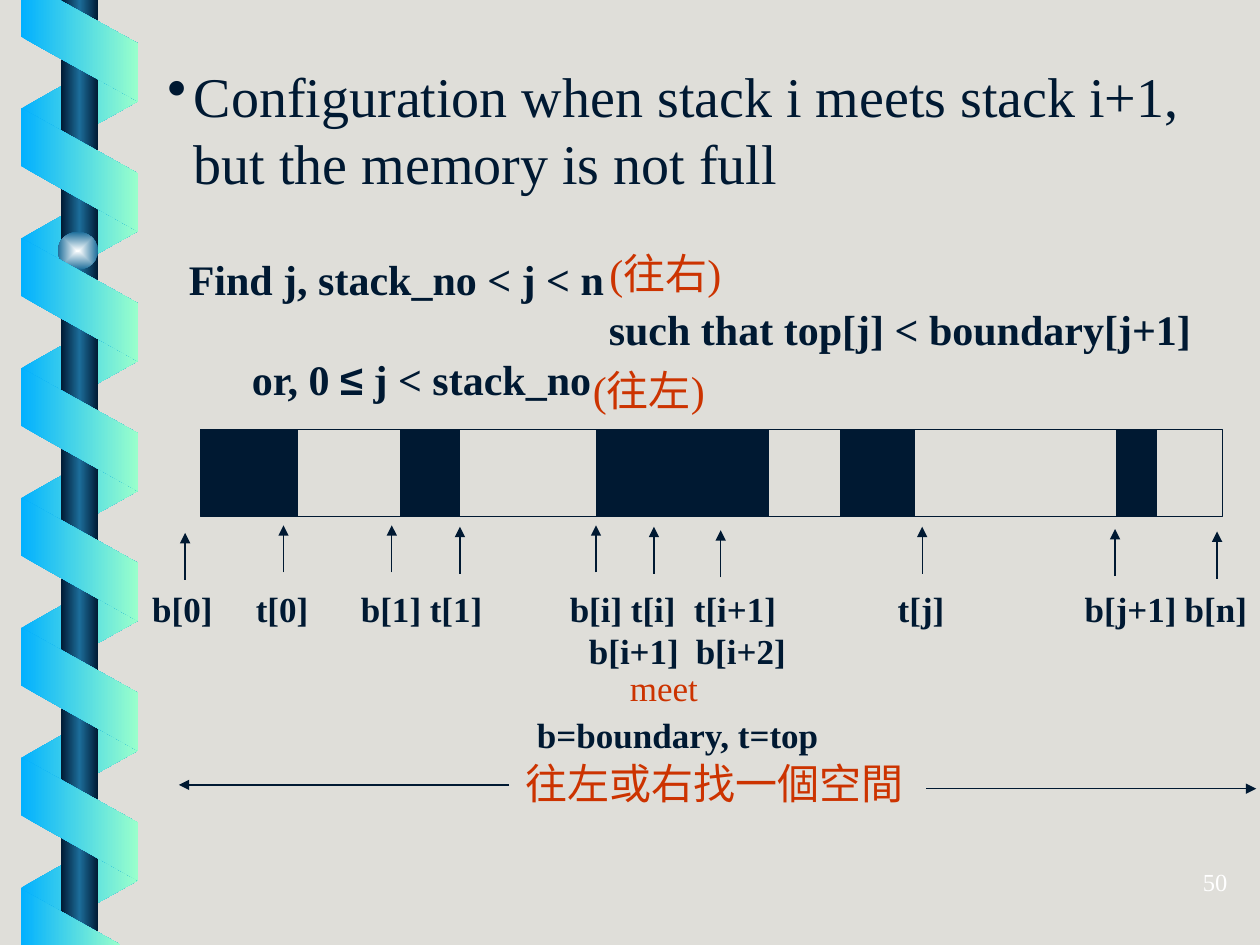
from lxml import etree
from pptx import Presentation, util as u
from pptx.dml.color import RGBColor
from pptx.enum import shapes, text
from pptx.oxml import parse_xml
from pptx.oxml.ns import nsdecls, qn

Pt = u.Pt
NAVY = RGBColor(0x00, 0x19, 0x32)
TEAL = RGBColor(0x1C, 0x6D, 0x9A)
PEARL = RGBColor(0xFE, 0xFF, 0xFF)
BLUE = RGBColor(0x01, 0xB0, 0xFF)
MINT = RGBColor(0x99, 0xFF, 0xCC)
RED = RGBColor(0xCC, 0x33, 0x00)
WHITE = RGBColor(0xFF, 0xFF, 0xFF)
PAPER = RGBColor(0xDF, 0xDE, 0xD9)
FONT = "Times New Roman"


def add_gradient(sp, colors, angle=None):
    """Evenly spaced stops; linear at an angle, or rectangular without one."""
    step = 100000 // (len(colors) - 1)
    stops = "".join(f'<a:gs pos="{i * step}"><a:srgbClr val="{c}"/></a:gs>'
                    for i, c in enumerate(colors))
    if angle is None:
        kind = ('<a:path path="rect"><a:fillToRect l="50000" t="50000" '
                'r="50000" b="50000"/></a:path>')
    else:
        kind = f'<a:lin ang="{angle * 60000}" scaled="0"/>'
    sp.shadow.inherit = False
    sp.line.fill.background()
    sp._element.spPr.insert(2, parse_xml(
        f'<a:gradFill {nsdecls("a")} rotWithShape="1">'
        f'<a:gsLst>{stops}</a:gsLst>{kind}</a:gradFill>'))


def add_box(s, x, y, w, h, fill=None):
    sp = s.shapes.add_shape(shapes.MSO_SHAPE.RECTANGLE, Pt(x), Pt(y), Pt(w), Pt(h))
    sp.shadow.inherit = False
    if fill is None:
        sp.fill.background()
    else:
        sp.fill.solid()
        sp.fill.fore_color.rgb = fill
    sp.line.color.rgb = NAVY
    sp.line.width = Pt(0.75)


def add_arrow(s, x1, y1, x2, y2):
    cn = s.shapes.add_connector(shapes.MSO_CONNECTOR.STRAIGHT,
                                Pt(x1), Pt(y1), Pt(x2), Pt(y2))
    cn.line.color.rgb = NAVY
    cn.line.width = Pt(0.75)
    etree.SubElement(cn.line._get_or_add_ln(), qn("a:tailEnd"), type="triangle")
    etree.SubElement(cn._element.spPr, qn("a:effectLst"))


def add_text(s, box, lines, size, color, bold=False, align=None, tabs=(), pitch=None):
    tb = s.shapes.add_textbox(*map(Pt, box))
    tf = tb.text_frame
    tf.word_wrap = True
    tf.text = "\n".join(lines)
    for p in tf.paragraphs:
        p.alignment = align
        if pitch:
            p.line_spacing = Pt(pitch)
        if tabs:
            tab_list = etree.SubElement(p._p.get_or_add_pPr(), qn("a:tabLst"))
            for pos in tabs:
                etree.SubElement(tab_list, qn("a:tab"), pos=str(Pt(pos)), algn="l")
        for r in p.runs:
            r.font.name = FONT
            r.font.size = Pt(size)
            r.font.bold = bold
            r.font.color.rgb = color
    return tf


def add_helix(s, x, y, w, h):
    """Ribbon wound around a vertical rod."""
    pitch, bw, bh = 74.2, 70.56, 66.96

    def add_band(top, rotation, flip, angle):
        sp = s.shapes.add_shape(shapes.MSO_SHAPE.PARALLELOGRAM,
                                Pt(x), Pt(top), Pt(bw), Pt(bh))
        sp.adjustments[0] = 0.56
        sp.rotation = rotation
        if flip:
            sp._element.spPr.xfrm.set("flipH", "1")
        add_gradient(sp, [BLUE, MINT], angle)

    def add_end(points):
        points = [(x + dx, y + dy) for dx, dy in points]
        fb = s.shapes.build_freeform(*points[0], scale=Pt(1))
        fb.add_line_segments(points[1:], close=True)
        add_gradient(fb.convert_to_shape(), [BLUE, MINT], 0)

    # Bands behind the rod
    for i in range(7):
        add_band(y + 26.6 + i * pitch, 90, True, 270)
    # Rod and pearl
    rod = s.shapes.add_shape(shapes.MSO_SHAPE.RECTANGLE,
                             Pt(x + 24.7), Pt(y), Pt(21.6), Pt(h))
    add_gradient(rod, [NAVY, TEAL, NAVY], 0)
    pearl = s.shapes.add_shape(shapes.MSO_SHAPE.OVAL,
                               Pt(x + 23), Pt(y + 132.5), Pt(23), Pt(21.6))
    add_gradient(pearl, [PEARL, TEAL])
    # Bands in front of the rod
    for i in range(6):
        add_band(y + 63.4 + i * pitch, 270, False, 90)
    # Bands cut off by the slide edges
    add_end([(2, 0), (2, 21), (w - 2, 58.3), (w - 2, 25.2), (23.7, 0)])
    add_end([(59, h), (2, h - 32.4), (2, h)])


def add_heading(s, x, y, w, h):
    tf = add_text(s, (x, y, w, h), ["Configuration when stack i meets stack i+1,",
                                    "but the memory is not full"], 32, NAVY, pitch=38.4)
    first, second = (p._p.get_or_add_pPr() for p in tf.paragraphs)
    for pPr in (first, second):
        pPr.set("marL", str(Pt(15.1)))
    first.set("indent", str(Pt(-15.1)))
    second.set("indent", "0")
    etree.SubElement(first, qn("a:buChar"), char="•")


def add_condition(s, x, y, w, h):
    tf = add_text(s, (x, y, w, h), ["Find j, stack_no < j < n",
                                    "\t\tsuch that top[j] < boundary[j+1]",
                                    "\tor, 0 "], 24, NAVY, True,
                  tabs=(36, 240), pitch=28.8)
    p = tf.paragraphs[2]
    for part, font in (("≤", "Arial"), (" j < stack_no", FONT)):
        r = p.add_run()
        r.text = part
        r.font.name, r.font.size, r.font.bold = font, Pt(24), True
        r.font.color.rgb = NAVY
    # Search directions
    add_text(s, (x + 231, y + 63.4, 94, 36), ["(往左)"], 24, RED)
    add_text(s, (x + 240.4, y - 2.9, 94, 36), ["(往右)"], 24, RED)


def add_memory(s, x, y, w, h):
    # Memory with its used blocks
    add_box(s, x, y, w, h)
    for dx, bw in ((-1.4, 55.4), (113, 33.8), (225.3, 98), (364.3, 42.5), (522, 23)):
        add_box(s, x + dx, y, bw, h, NAVY)
    # Pointers
    for dx, dy in ((-10.1, 59), (46.1, 54.7), (108, 54.7), (146.9, 55.5), (224.7, 54.7),
                   (257.8, 55.5), (295.9, 57.5), (411.1, 55.5), (521.3, 56.8), (579.6, 58.2)):
        add_arrow(s, x + dx, y + dy + 26.9, x + dx, y + dy)
    # Pointer names
    row = "\t".join(["b[0]", "t[0]", "b[1]", "t[1]", "b[i]", "t[i]", "t[i+1]",
                     "t[j]", "b[j+1]", "b[n]"])
    box_x, box_y = x - 36, y + 86.4
    add_text(s, (box_x, box_y, 641.5, 31), [row], 20, NAVY, True, pitch=24,
             tabs=(59.2, 119.2, 158.6, 238.6, 273.5, 309.5, 426, 532.8, 590))
    tf = add_text(s, (box_x, box_y + 24, 641.5, 79), ["\tb[i+1]\t\tb[i+2]".replace("\t\t", "\t"),
                                                      "b=boundary, t=top"],
                  20, NAVY, True, pitch=24, tabs=(249.5, 310.6))
    legend = tf.paragraphs[1]
    legend.space_before = Pt(24)
    legend._p.pPr.set("marL", str(Pt(219.8)))
    add_text(s, (x + 228, y + 131.8, 71, 31.7), ["meet"], 20, RED,
             align=text.PP_ALIGN.CENTER)
    # Search to both sides
    add_arrow(s, x + 175, y + 203, x - 13.7, y + 203)
    add_arrow(s, x + 413.3, y + 205.2, x + 602, y + 205.2)
    add_text(s, (x + 167, y + 183.6, 250.4, 36), ["往左或右找一個空間"], 24, RED,
             align=text.PP_ALIGN.CENTER)


def main():
    prs = Presentation()
    prs.slide_width, prs.slide_height = Pt(720), Pt(540)
    s = prs.slides.add_slide(prs.slide_layouts[6])
    s.background.fill.solid()
    s.background.fill.fore_color.rgb = PAPER
    add_helix(s, 10, 0, 70.6, 540)
    add_memory(s, 115.9, 245.5, 582.5, 49.7)
    add_condition(s, 100.8, 141.1, 596, 93.6)
    add_heading(s, 88.6, 31.7, 602, 84.2)
    # Slide number
    add_text(s, (648, 492, 60.5, 25), ["50"], 14, WHITE, align=text.PP_ALIGN.RIGHT)
    prs.save("out.pptx")


if __name__ == "__main__":
    main()
